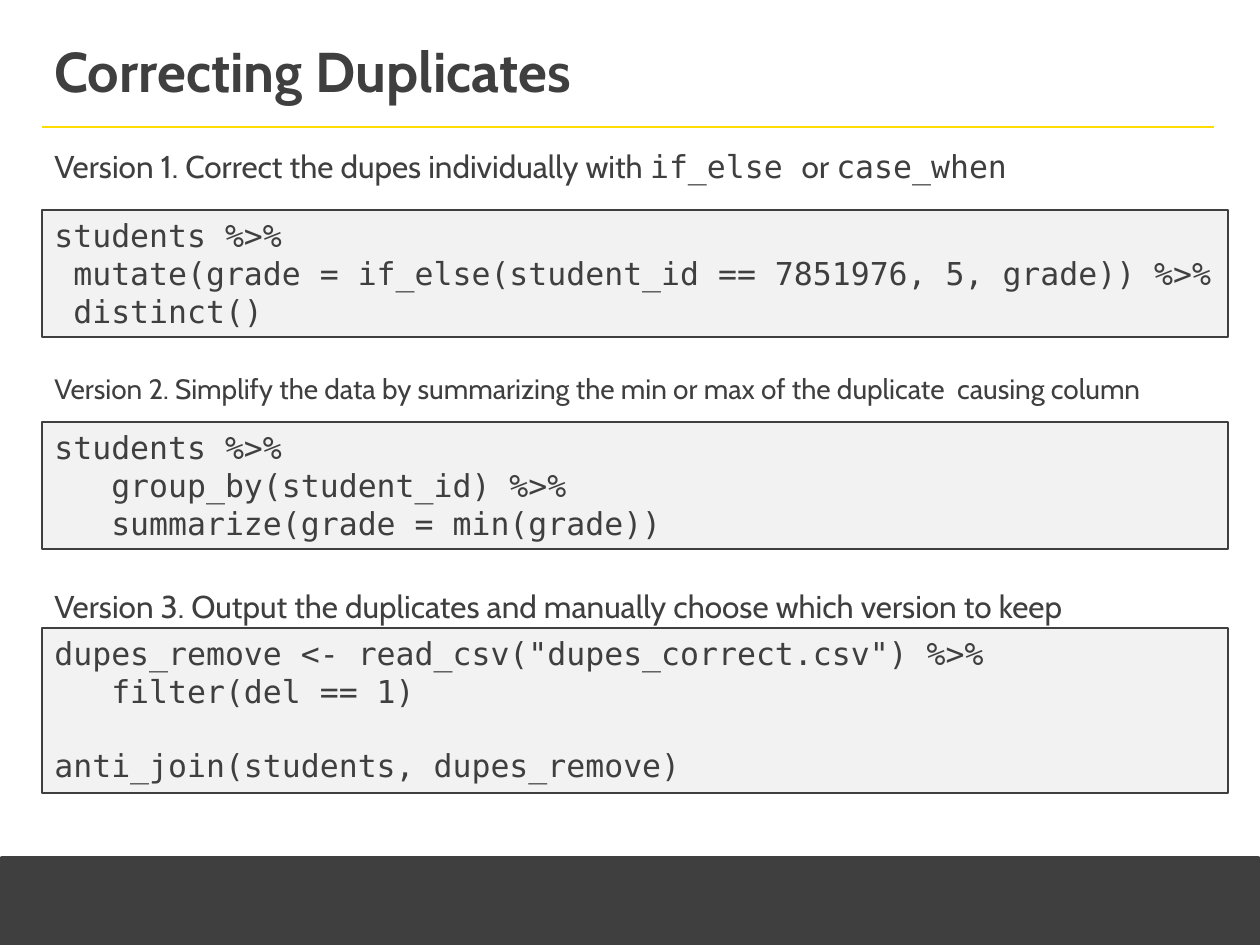
from lxml import etree
from pptx import Presentation
from pptx import util as u
from pptx.dml.color import RGBColor
from pptx.enum import shapes, text
from pptx.oxml.ns import qn

PX = u.Inches(1) // 126
COLORS = {"dark": "3F3F3F", "code": "F2F2F2", "rule": "FFDD00", "page": "FFFFFF"}
BODY, MONO = "Cabin", "DejaVu Sans Mono"
LEFT, WIDTH, CODE_WIDTH = 42, 1172, 1186
CODE_LINE = 21  # points

deck = Presentation()
deck.slide_width, deck.slide_height = 1260 * PX, 945 * PX
slide = deck.slides.add_slide(deck.slide_layouts[6])


def add_rect(left, top, width, height, fill, line=None, weight=0.75):
    rect = slide.shapes.add_shape(shapes.MSO_SHAPE.RECTANGLE,
                                  left * PX, top * PX, width * PX, height * PX)
    rect.shadow.inherit = False
    rect.fill.solid()
    rect.fill.fore_color.rgb = RGBColor.from_string(COLORS[fill])
    if line:
        rect.line.color.rgb = RGBColor.from_string(COLORS[line])
        rect.line.width = u.Pt(weight)
    else:
        rect.line.fill.background()
    return rect


def write(box, lines, size=18, bold=False, anchor=text.MSO_ANCHOR.TOP):
    """Each line is a list of (words, font) runs; an empty line becomes space."""
    frame = box.text_frame
    frame.word_wrap = True
    frame.vertical_anchor = anchor
    paragraph, gap = frame.paragraphs[0], 0
    for number, runs in enumerate(lines):
        if not runs:
            gap += CODE_LINE
            continue
        if number:
            paragraph = frame.add_paragraph()
        paragraph.alignment = text.PP_ALIGN.LEFT
        if gap:
            paragraph.space_before, gap = u.Pt(gap), 0
        for words, font in runs:
            run = paragraph.add_run()
            run.text = words
            run.font.name, run.font.size, run.font.bold = font, u.Pt(size), bold
            run.font.color.rgb = RGBColor.from_string(COLORS["dark"])


# Footer bar and page panel
add_rect(2, 859, 1256, 84, "dark", "dark", 3)
add_rect(0, 0, 1260, 849, "page")

# Title and its rule
rule = slide.shapes.add_connector(shapes.MSO_CONNECTOR.STRAIGHT, LEFT * PX, 127 * PX,
                                  (LEFT + WIDTH) * PX, 127 * PX)
rule.line.color.rgb = RGBColor.from_string(COLORS["rule"])
rule.line.width = u.Pt(1)
etree.SubElement(rule._element.spPr, qn("a:effectLst"))
title = slide.shapes.add_textbox(LEFT * PX, 37 * PX, WIDTH * PX, 67 * PX)
write(title, [[("Correcting Duplicates", BODY)]], size=32, bold=True,
      anchor=text.MSO_ANCHOR.MIDDLE)

# Versions: heading top, height, size and runs; code top, height and lines
versions = [
    (141, 50, 18,
     [("Version 1. Correct the dupes individually with ", BODY), ("if_else ", MONO),
      ("or ", BODY), ("case_when", MONO)],
     210, 127,
     ["students %>%",
      " mutate(grade = if_else(student_id == 7851976, 5, grade)) %>%",
      " distinct()"]),
    (365, 47, 16,
     [("Version 2. Simplify the data by summarizing the min or max of the duplicate"
       "  causing column", BODY)],
     422, 127,
     ["students %>%",
      "   group_by(student_id) %>%",
      "   summarize(grade = min(grade))"]),
    (581, 50, 18,
     [("Version 3. Output the duplicates and manually choose which version to keep", BODY)],
     628, 165,
     ['dupes_remove <- read_csv("dupes_correct.csv") %>%',
      "   filter(del == 1)",
      "",
      "anti_join(students, dupes_remove)"]),
]
for top, height, size, heading_runs, code_top, code_height, code_lines in versions:
    heading = slide.shapes.add_textbox(LEFT * PX, top * PX, CODE_WIDTH * PX, height * PX)
    write(heading, [heading_runs], size=size)
    code = add_rect(LEFT, code_top, CODE_WIDTH, code_height, "code", "dark")
    write(code, [[(line, MONO)] if line else [] for line in code_lines])

deck.save("out.pptx")
